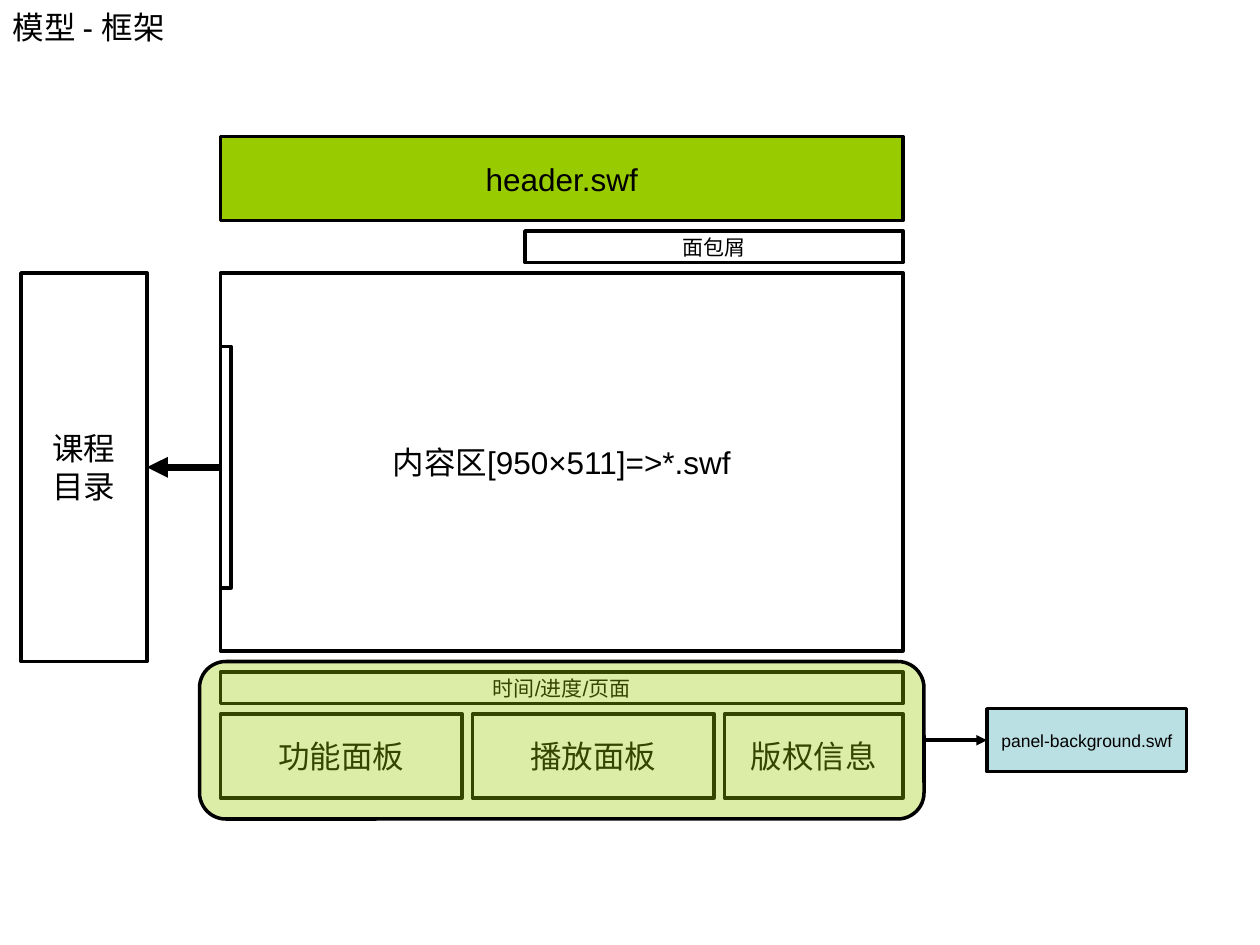
import pptx
import pptx.util
import pptx.dml.color
import pptx.enum.shapes
import pptx.enum.text
import pptx.oxml
import pptx.oxml.ns

Inches, Pt = pptx.util.Inches, pptx.util.Pt
SHAPE = pptx.enum.shapes.MSO_SHAPE
ALIGN = pptx.enum.text.PP_ALIGN
MIDDLE = pptx.enum.text.MSO_ANCHOR.MIDDLE

# Content: places are in grid units of 1/12 inch
UNIT = 1 / 12
LEFT, WIDE, GAP = 21, 65, 1
TITLE = "模型 - 框架"
BLACK, WHITE, GREEN, BLUE = "000000", "FFFFFF", "99CC00", "BBE0E3"

# text, (left, top, width, height), size, fill
FRAME = [
    ("header.swf", (LEFT, 13, WIDE, 8), 18, GREEN),
    ("面包屑", (50, 22, 36, 3), 12, WHITE),
    ("内容区[950×511]=>*.swf", (LEFT, 26, WIDE, 36), 18, WHITE),
    ("时间/进度/页面", (LEFT, 64, WIDE, 3), 12, WHITE),
]
PANELS = [("功能面板", 23), ("播放面板", 23), ("版权信息", 17)]
MENU = ("课程\n目录", (2, 26, 12, 37), 18, WHITE)
TAB = ("", (LEFT, 33, 1, 23), 18, WHITE)
BACK = ("", (19, 63, 69, 15), 18, GREEN)
NOTE = ("panel-background.swf", (94, 67.5, 19, 6), 10, BLUE)


def color(code):
    return pptx.dml.color.RGBColor.from_string(code)


def write(frame, text, size=18, align=ALIGN.CENTER, wrap=False):
    frame.word_wrap = wrap
    frame.vertical_anchor = MIDDLE
    frame.text = text
    for para in frame.paragraphs:
        para.alignment = align
        for run in para.runs:
            run.font.size = Pt(size)
            run.font.name = "Arial"
            run.font.color.rgb = color(BLACK)


def add_box(text, place, size, fill, kind=SHAPE.FLOWCHART_PROCESS, alpha=None):
    box = slide.shapes.add_shape(kind, *(Inches(n * UNIT) for n in place))
    box.shadow.inherit = False
    box.fill.solid()
    box.fill.fore_color.rgb = color(fill)
    box.line.color.rgb = color(BLACK)
    box.line.width = Pt(2)
    if alpha:
        tone = box.fill._xPr.find(".//" + pptx.oxml.ns.qn("a:srgbClr"))
        tag = pptx.oxml.parse_xml(
            f'<a:alpha {pptx.oxml.ns.nsdecls("a")} val="{alpha * 1000}"/>')
        tone.append(tag)
    if text:
        write(box.text_frame, text, size)
    return box


def add_arrow(start, end, width):
    """Join the left side (1) or right side (3) of two boxes."""
    ahead = start.left < end.left
    line = slide.shapes.add_connector(
        pptx.enum.shapes.MSO_CONNECTOR.STRAIGHT, 0, 0, 0, 0)
    line.begin_connect(start, 3 if ahead else 1)
    line.end_connect(end, 1 if ahead else 3)
    line.line.color.rgb = color(BLACK)
    line.line.width = Pt(width)
    space = pptx.oxml.ns.nsdecls("a")
    line.line._get_or_add_ln().append(
        pptx.oxml.parse_xml(f'<a:tailEnd {space} type="triangle"/>'))
    line._element.spPr.append(pptx.oxml.parse_xml(f"<a:effectLst {space}/>"))


deck = pptx.Presentation()
deck.slide_width, deck.slide_height = Inches(10), Inches(7.5)
slide = deck.slides.add_slide(deck.slide_layouts[5])

# Title
title = slide.shapes.title
title.left, title.top = Inches(0), Inches(0)
title.width, title.height = Inches(9), Inches(0.42)
write(title.text_frame, TITLE, align=ALIGN.LEFT, wrap=True)

# Page frame
for item in FRAME:
    add_box(*item)

# Row of panels
left = LEFT
for text, width in PANELS:
    add_box(text, (left, 68, width, 8), 18, WHITE)
    left += width + GAP

# Course menu, opened from the tab
menu = add_box(*MENU)
tab = add_box(*TAB)
add_arrow(tab, menu, 4)

# Clear backdrop over the panels, with its file name
back = add_box(*BACK, kind=SHAPE.FLOWCHART_ALTERNATE_PROCESS, alpha=34)
note = add_box(*NOTE)
add_arrow(back, note, 2)

deck.save("out.pptx")
